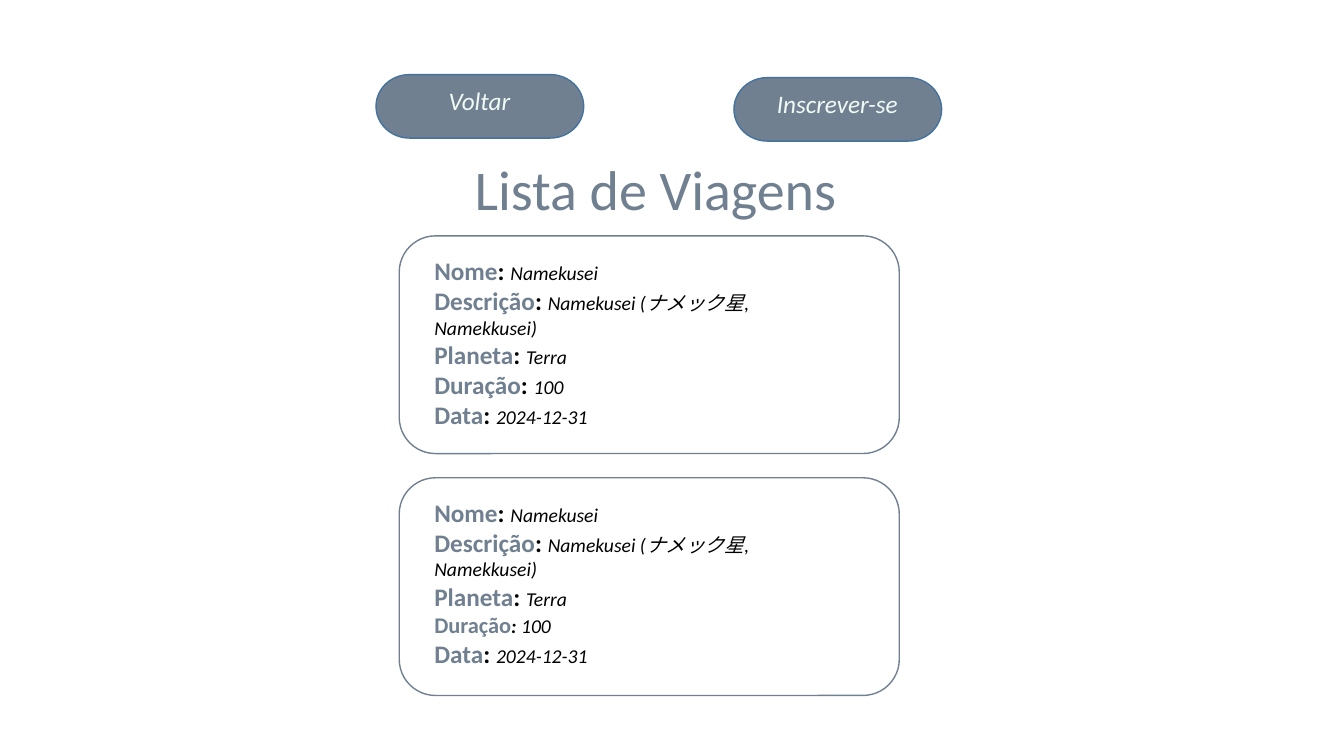
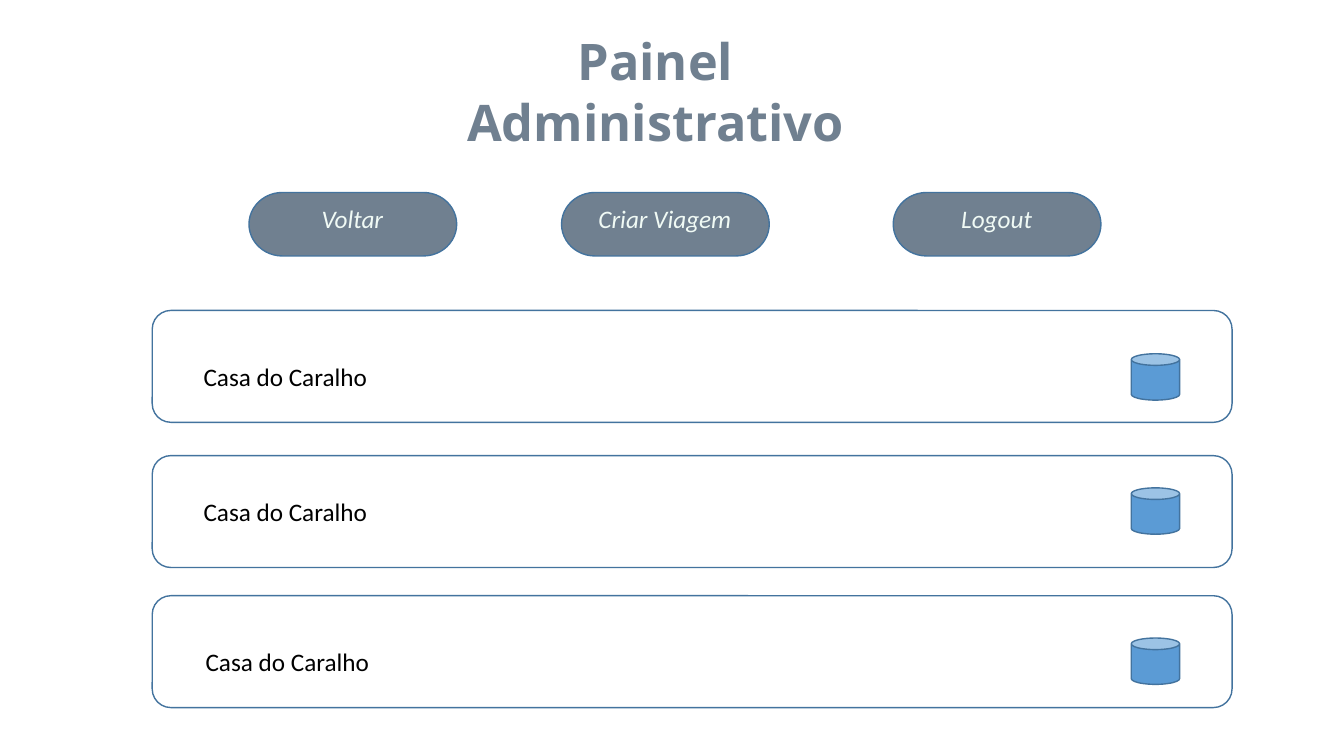
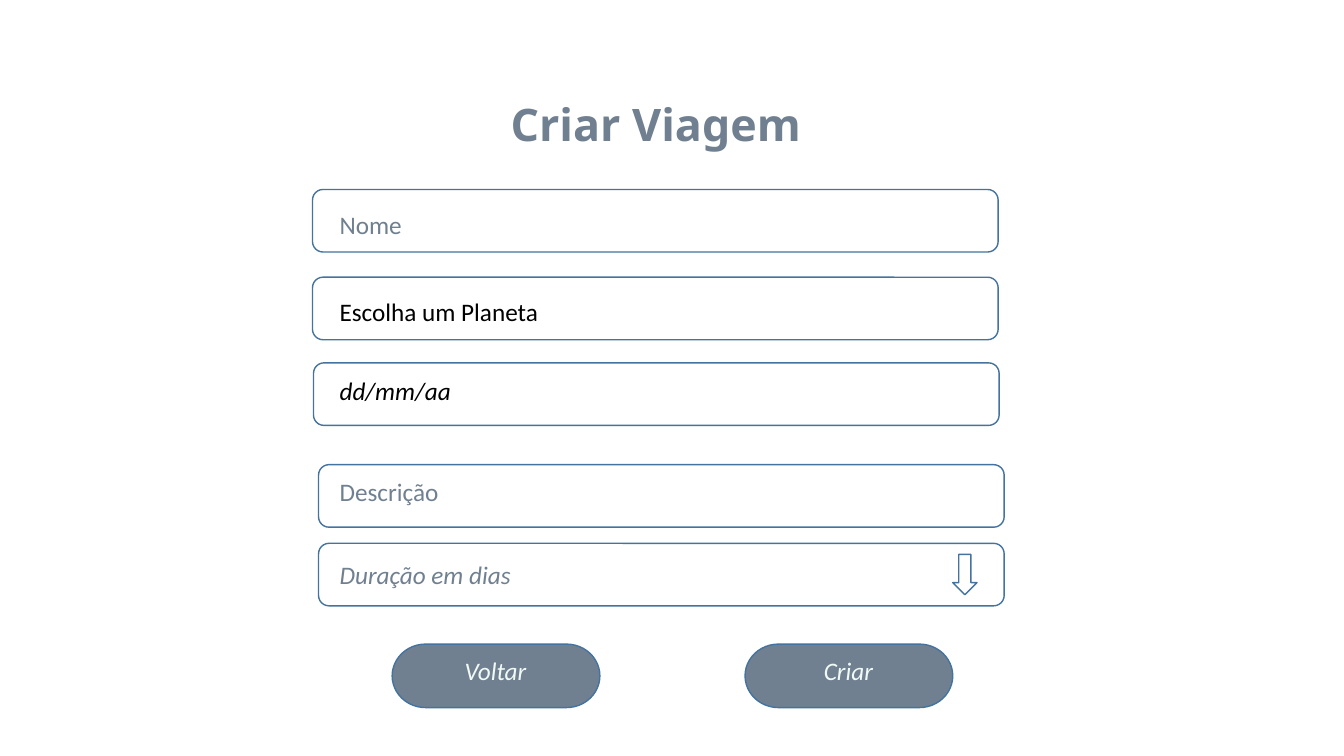
import pptx
import pptx.util
import pptx.dml.color
import pptx.enum.shapes
import pptx.enum.text

Inches = pptx.util.Inches
Pt = pptx.util.Pt
RGBColor = pptx.dml.color.RGBColor
SHAPE = pptx.enum.shapes.MSO_SHAPE
ALIGN = pptx.enum.text.PP_ALIGN
ANCHOR = pptx.enum.text.MSO_ANCHOR
AUTO_SIZE = pptx.enum.text.MSO_AUTO_SIZE

SLATE = RGBColor(0x70, 0x80, 0x90)
MINT = RGBColor(0xF0, 0xFA, 0xF5)
BORDER = RGBColor(0x43, 0x73, 0x9E)
BLUE = RGBColor(0x5B, 0x9B, 0xD5)
WHITE = RGBColor(0xFF, 0xFF, 0xFF)
BLACK = RGBColor(0, 0, 0)

BODY_FONT = "Calibri"
HEADING_FONT = "Noto Sans"

# Trip list: buttons are (label, left, top)
LIST_BUTTONS = [("Inscrever-se", 7.28, 0.77), ("Voltar", 3.73, 0.74)]
TRIP = [
    ("Nome", "Namekusei"),
    ("Descrição", "Namekusei (ナメック星, Namekkusei)"),
    ("Planeta", "Terra"),
    ("Duração", "100"),
    ("Data", "2024-12-31"),
]
# Card top, then the fields whose label is smaller, with an italic colon
TRIP_CARDS = [(2.34, ()), (4.74, ("Duração",))]

# Admin panel: rows are (trip name, row top, name left, bin top)
PANEL_BUTTONS = [("Voltar", 2.47, 1.91), ("Criar Viagem", 5.57, 1.91),
                 ("Logout", 8.86, 1.91)]
PANEL_ROWS = [
    ("Casa do Caralho", 3.08, 1.92, 3.51),
    ("Casa do Caralho", 4.52, 1.92, 4.84),
    ("Casa do Caralho", 5.91, 1.94, 6.33),
]

# Trip form: fields are (prompt, left, top, prompt top, colour, italic)
FORM_FIELDS = [
    ("Nome", 3.1, 1.88, 2.03, SLATE, False),
    ("Escolha um Planeta", 3.1, 2.75, 2.89, BLACK, False),
    ("dd/mm/aa", 3.11, 3.6, 3.67, BLACK, True),
    ("Descrição", 3.16, 4.61, 4.68, SLATE, False),
    ("Duração em dias", 3.16, 5.39, 5.5, SLATE, True),
]
FORM_BUTTONS = [("Voltar", 3.89, 6.39), ("Criar", 7.39, 6.39)]


def style_run(run, size, color, bold=False, italic=False, font=BODY_FONT):
    """Format one run."""
    run.font.name = font
    run.font.size = Pt(size)
    run.font.color.rgb = color
    run.font.bold = bold
    run.font.italic = italic


def add_titled_slide(deck, title, box, size, font, bold):
    """Add a slide and place its title in the given box."""
    slide = deck.slides.add_slide(deck.slide_layouts[5])
    heading = slide.shapes.title
    heading.left, heading.top, heading.width, heading.height = map(Inches, box)
    frame = heading.text_frame
    frame.text = title
    frame.word_wrap = True
    frame.auto_size = AUTO_SIZE.NONE
    frame.vertical_anchor = ANCHOR.TOP
    frame.paragraphs[0].alignment = ALIGN.CENTER
    style_run(frame.paragraphs[0].runs[0], size, SLATE, bold, font=font)
    return slide


def add_outline(slide, preset, box, fill=None, line=BORDER):
    """Add a flat preset shape with a thin border."""
    outline = slide.shapes.add_shape(preset, *map(Inches, box))
    outline.shadow.inherit = False
    if fill is None:
        outline.fill.background()
    else:
        outline.fill.solid()
        outline.fill.fore_color.rgb = fill
    outline.line.color.rgb = line
    outline.line.width = Pt(1)


def add_text_frame(slide, box):
    """Add a wrapping text box and return its frame."""
    frame = slide.shapes.add_textbox(*map(Inches, box)).text_frame
    frame.word_wrap = True
    frame.auto_size = AUTO_SIZE.SHAPE_TO_FIT_TEXT
    return frame


def add_label(slide, text, box, color, italic=False, align=ALIGN.LEFT):
    """Add a one-line label."""
    frame = add_text_frame(slide, box)
    frame.text = text
    frame.paragraphs[0].alignment = align
    style_run(frame.paragraphs[0].runs[0], 18, color, italic=italic)


def add_buttons(slide, buttons):
    """Add pill buttons with centred captions."""
    for caption, left, top in buttons:
        add_outline(slide, SHAPE.FLOWCHART_TERMINATOR, (left, top, 2.06, 0.63), SLATE)
        add_label(slide, caption, (left + 0.09, top + 0.06, 1.87, 0.4),
                  MINT, True, ALIGN.CENTER)


def add_trip_card(slide, top, small_fields):
    """Add a card listing the fields of the trip."""
    add_outline(slide, SHAPE.ROUNDED_RECTANGLE, (3.96, top, 4.96, 2.16), WHITE, SLATE)
    frame = add_text_frame(slide, (4.21, top + 0.14, 4.23, 1.92))
    for index, (field, value) in enumerate(TRIP):
        line = frame.add_paragraph() if index else frame.paragraphs[0]
        small = field in small_fields
        parts = [
            (field, 16 if small else 18, SLATE, True, False),
            (":", 14 if small else 18, BLACK, True, small),
            ("\u00a0", 14 if small else 18, BLACK, not small, small),
            (value, 14, BLACK, False, True),
        ]
        for text, *look in parts:
            run = line.add_run()
            run.text = text
            style_run(run, *look)


def build_trip_list(deck):
    """Build the list of trips."""
    slide = add_titled_slide(deck, "Lista de Viagens", (4.21, 1.48, 4.58, 0.77),
                             40, BODY_FONT, False)
    add_buttons(slide, LIST_BUTTONS)
    for top, small_fields in TRIP_CARDS:
        add_trip_card(slide, top, small_fields)


def build_admin_panel(deck):
    """Build the admin panel with one row per trip."""
    slide = add_titled_slide(deck, "Painel Administrativo", (3.83, 0.25, 5.34, 0.71),
                             36, HEADING_FONT, True)
    add_buttons(slide, PANEL_BUTTONS)
    for name, row_top, name_left, bin_top in PANEL_ROWS:
        add_outline(slide, SHAPE.ROUNDED_RECTANGLE, (1.51, row_top, 10.71, 1.11))
        add_outline(slide, SHAPE.CAN, (11.22, bin_top, 0.48, 0.46), BLUE)
        add_label(slide, name, (name_left, bin_top + 0.03, 3.62, 0.4), BLACK)


def build_trip_form(deck):
    """Build the form that creates a trip."""
    slide = add_titled_slide(deck, "Criar Viagem", (3.17, 0.91, 6.67, 0.7),
                             32, HEADING_FONT, True)
    for prompt, left, top, prompt_top, color, italic in FORM_FIELDS:
        add_outline(slide, SHAPE.ROUNDED_RECTANGLE, (left, top, 6.8, 0.62))
        add_label(slide, prompt, (3.27, prompt_top, 2.54, 0.4), color, italic)
    add_buttons(slide, FORM_BUTTONS)
    add_outline(slide, SHAPE.DOWN_ARROW, (9.45, 5.5, 0.24, 0.4))


deck = pptx.Presentation()
deck.slide_width = Inches(13.33)
deck.slide_height = Inches(7.5)
build_trip_list(deck)
build_admin_panel(deck)
build_trip_form(deck)
deck.save("out.pptx")
